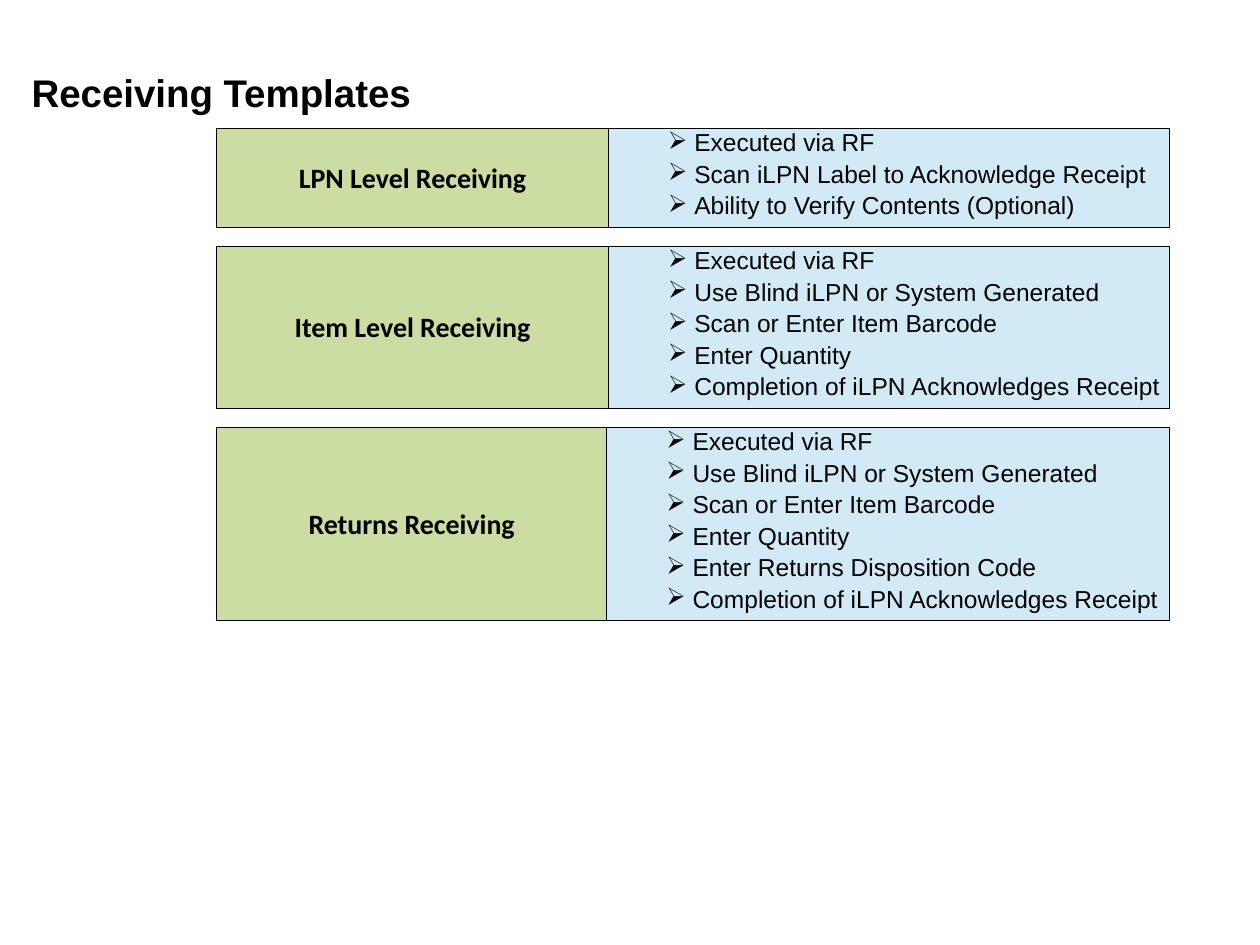
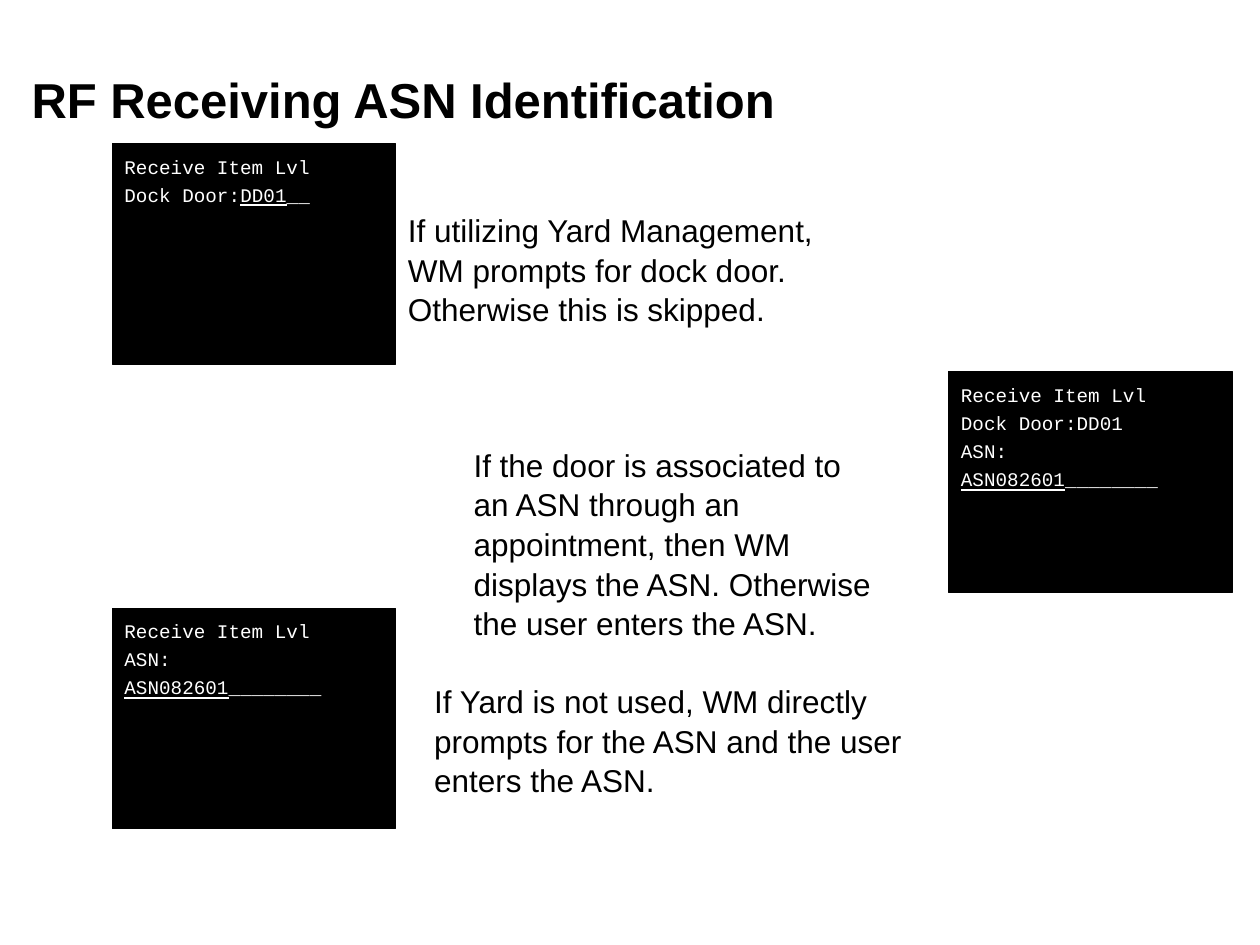
from lxml import etree
from pptx import Presentation
from pptx.dml.color import RGBColor
from pptx.enum import shapes, text
from pptx.oxml.ns import qn
from pptx.util import Pt

BLACK = RGBColor(0x00, 0x00, 0x00)
WHITE = RGBColor(0xFF, 0xFF, 0xFF)
GREEN = RGBColor(0xCB, 0xDD, 0xA3)
BLUE = RGBColor(0xD2, 0xEA, 0xF5)

# Receiving templates: label, label column width, steps
TEMPLATES = [
    ("LPN Level Receiving", 224, [
        "Executed via RF",
        "Scan iLPN Label to Acknowledge Receipt",
        "Ability to Verify Contents (Optional)"]),
    ("Item Level Receiving", 224, [
        "Executed via RF",
        "Use Blind iLPN or System Generated",
        "Scan or Enter Item Barcode",
        "Enter Quantity",
        "Completion of iLPN Acknowledges Receipt"]),
    ("Returns Receiving", 223, [
        "Executed via RF",
        "Use Blind iLPN or System Generated",
        "Scan or Enter Item Barcode",
        "Enter Quantity",
        "Enter Returns Disposition Code",
        "Completion of iLPN Acknowledges Receipt"]),
]
TABLE_LEFT, TABLE_TOP, TABLE_WIDTH, TABLE_GAP = 123.8, 73.4, 544.5, 10.9
ROW_HEIGHT, LAST_ROW_HEIGHT = 18, 20.5

# RF screens: left, top, lines of (plain, underlined, plain) pieces
HEADING = ("Receive Item Lvl",)
ASN_ENTRY = [("ASN:",), ("", "ASN082601", "________")]
SCREENS = [
    (64, 82, [HEADING, ("Dock Door:", "DD01", "__")]),
    (542, 212.5, [HEADING, ("Dock Door:DD01",), *ASN_ENTRY]),
    (64, 347.5, [HEADING, *ASN_ENTRY]),
]
SCREEN_SIZE = (162, 126)

# Notes: left, top, width, height, wording
NOTES = [
    (226, 116, 277, 73, "If utilizing Yard Management, WM prompts for dock door. "
                        "Otherwise this is skipped."),
    (263.5, 250, 245.5, 117, "If the door is associated to an ASN through an appointment, "
                             "then WM displays the ASN. Otherwise the user enters the ASN."),
    (241, 385, 301, 73, "If Yard is not used, WM directly prompts for the ASN "
                        "and the user enters the ASN."),
]


def style(p, size, name="Arial", color=BLACK, bold=False):
    p.font.size, p.font.name, p.font.bold = Pt(size), name, bold
    p.font.color.rgb = color


def add_text(slide, box, wording, size, bold=False, spacing=1.0):
    tf = slide.shapes.add_textbox(*map(Pt, box)).text_frame
    tf.word_wrap = True
    p = tf.paragraphs[0]
    p.text, p.line_spacing = wording, spacing
    style(p, size, bold=bold)


def add_titled_slide(prs, title, size):
    slide = prs.slides.add_slide(prs.slide_layouts[6])
    add_text(slide, (11, 36, 700, 32), title, size, bold=True)
    return slide


def set_borders(cell, edges):
    """Draw the named edges (letters of LRTB) and clear the others."""
    tc_pr = cell._tc.get_or_add_tcPr()
    for edge in "LRTB":
        ln = etree.SubElement(tc_pr, qn("a:ln" + edge), w=str(Pt(0.5)))
        if edge in edges:
            fill = etree.SubElement(ln, qn("a:solidFill"))
            etree.SubElement(fill, qn("a:srgbClr"), val=str(BLACK))
        else:
            etree.SubElement(ln, qn("a:noFill"))


def add_arrow_bullet(p, indent):
    p_pr = p._p.get_or_add_pPr()
    p_pr.set("marL", str(Pt(indent)))
    p_pr.set("indent", str(-Pt(indent)))
    color = etree.SubElement(p_pr, qn("a:buClr"))
    etree.SubElement(color, qn("a:srgbClr"), val=str(BLACK))
    etree.SubElement(p_pr, qn("a:buChar"), char="➢")


def add_template(slide, top, label, label_width, steps):
    """Add one receiving template table and return its height."""
    heights = [ROW_HEIGHT] * (len(steps) - 1) + [LAST_ROW_HEIGHT]
    table = slide.shapes.add_table(len(steps), 2, Pt(TABLE_LEFT), Pt(top),
                                   Pt(TABLE_WIDTH), Pt(sum(heights))).table
    table.first_row = table.horz_banding = False
    for column, width in zip(table.columns, (label_width, TABLE_WIDTH - label_width)):
        column.width = Pt(width)
    last = len(steps) - 1
    for row, (height, step) in enumerate(zip(heights, steps)):
        table.rows[row].height = Pt(height)
        for col, (fill, inset) in enumerate([(GREEN, 0.7), (BLUE, 34)]):
            cell = table.cell(row, col)
            spans_down = row == 0 and col == 0
            set_borders(cell, "LR" + "T" * (row == 0) + "B" * (row == last or spans_down))
            cell.fill.solid()
            cell.fill.fore_color.rgb = fill
            cell.margin_left = Pt(inset)
            cell.margin_top = cell.margin_right = Pt(0.7)
            cell.margin_bottom = 0
        p = table.cell(row, 1).text_frame.paragraphs[0]
        p.text = step
        add_arrow_bullet(p, 15)
        style(p, 14)
    cell = table.cell(0, 0)
    cell.merge(table.cell(last, 0))
    cell.vertical_anchor = text.MSO_ANCHOR.MIDDLE
    p = cell.text_frame.paragraphs[0]
    p.text, p.alignment = label, text.PP_ALIGN.CENTER
    style(p, 16, "Calibri", bold=True)
    return sum(heights)


def add_screen(slide, left, top, lines):
    sp = slide.shapes.add_shape(shapes.MSO_SHAPE.RECTANGLE,
                                *map(Pt, (left, top, *SCREEN_SIZE)))
    sp.shadow.inherit = False
    sp.fill.solid()
    sp.fill.fore_color.rgb = sp.line.color.rgb = BLACK
    sp.line.width = Pt(0.5)
    tf = sp.text_frame
    tf.vertical_anchor = text.MSO_ANCHOR.TOP
    for i, pieces in enumerate(lines):
        p = tf.add_paragraph() if i else tf.paragraphs[0]
        p.alignment, p.line_spacing = text.PP_ALIGN.LEFT, 1.22
        style(p, 11, "Courier New", WHITE)
        for j, piece in enumerate(pieces):
            if piece:
                r = p.add_run()
                r.text = piece
                r.font.underline = j == 1


def main():
    prs = Presentation()
    prs.slide_width, prs.slide_height = Pt(720), Pt(540)

    slide = add_titled_slide(prs, "Receiving Templates", 22)
    top = TABLE_TOP
    for template in TEMPLATES:
        top += add_template(slide, top, *template) + TABLE_GAP

    slide = add_titled_slide(prs, "RF Receiving ASN Identification", 28)
    for *box, wording in NOTES:
        add_text(slide, box, wording, 18, spacing=1.05)
    for screen in SCREENS:
        add_screen(slide, *screen)

    prs.save("out.pptx")


if __name__ == "__main__":
    main()
